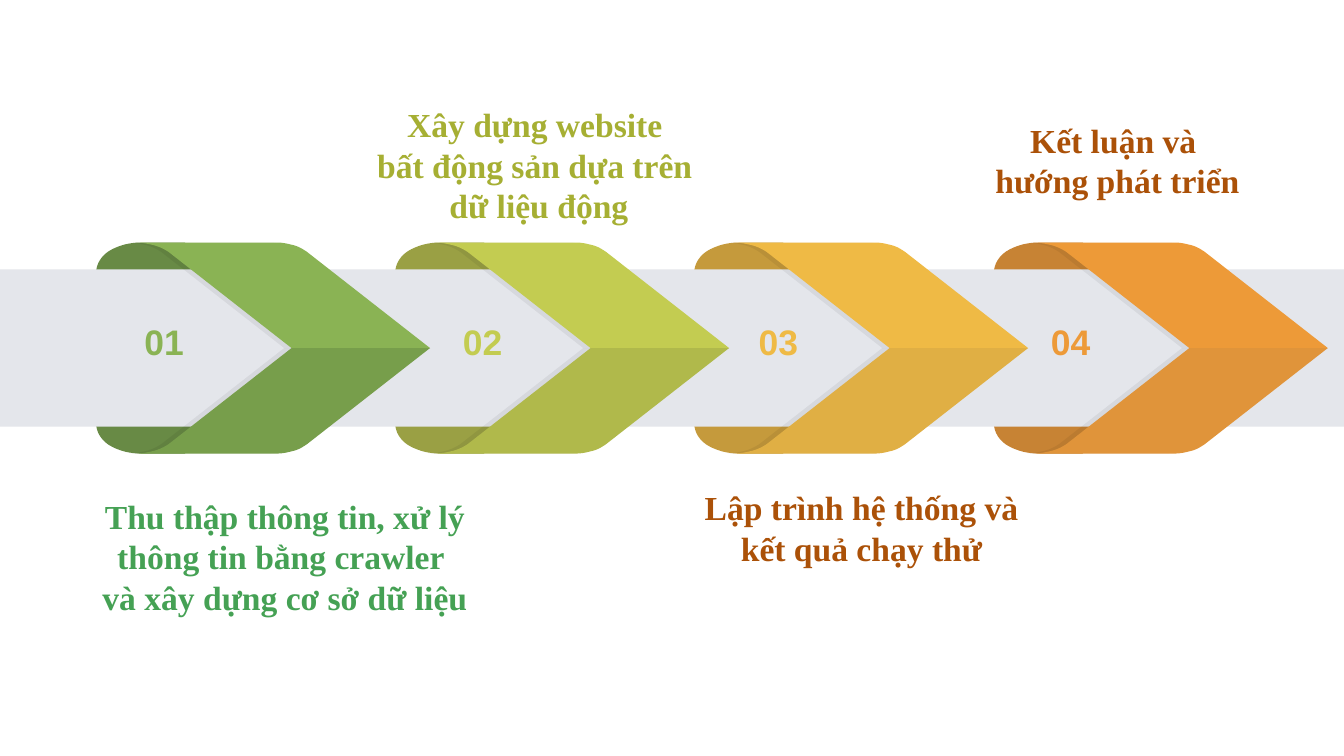
from lxml.etree import SubElement
from pptx import Presentation
from pptx.dml.color import RGBColor
from pptx.enum.shapes import MSO_SHAPE
from pptx.enum.text import MSO_ANCHOR, MSO_AUTO_SIZE, PP_ALIGN
from pptx.oxml.ns import qn
from pptx.util import Pt

PX = 4572
HALF = 157
TOP = 361

FOLD = [(66, 0), (50, 0, 36, 4, 24, 10), (8, 18, 0, 32, 0, 46),
        (0, 268), (0, 282, 8, 296, 24, 304), (36, 310, 50, 314, 66, 314),
        (132, 314), (340, HALF), (132, 0)]
FACE = [(0, 0), (8, 0, 18, 2, 26, 4), (34, 6, 42, 10, 48, 14),
        (231, HALF), (437, HALF), (254, 14),
        (248, 10, 242, 6, 234, 4), (226, 2, 218, 0, 210, 0)]

STEPS = [
    ("01", "688A45", "8AB354", "779E4B", (203, 116)),
    ("02", "9AA044", "C3CC51", "B0B94B", (677, 120)),
    ("03", "C59A3C", "EFBA45", "E0AF44", (1117, 98)),
    ("04", "C78334", "ED9A38", "E0943A", (1552, 110)),
]
NOTES = [
    ((131, 726, 586, 204), "45A154",
     "Thu thập thông tin, xử lý thông tin bằng crawler \nvà xây dựng cơ sở dữ liệu"),
    ((510, 143, 584, 204), "A6AF33",
     "Xây dựng website \nbất động sản dựa trên \ndữ liệu động"),
    ((1033, 713, 498, 144), "AB5108",
     "Lập trình hệ thống và kết quả chạy thử"),
    ((1429, 166, 468, 144), "AB5108",
     "Kết luận và \nhướng phát triển"),
]


def paint(shape, color, alpha=None):
    """Give a shape a flat fill, with alpha in percent."""
    shape.shadow.inherit = False
    shape.fill.solid()
    shape.fill.fore_color.rgb = RGBColor.from_string(color)
    shape.line.fill.background()
    if alpha:
        tone = shape.element.spPr.find(qn("a:solidFill"))[0]
        SubElement(tone, qn("a:alpha")).set("val", str(alpha * 1000))


def trace(route, steps=8):
    """Turn lines and cubic curves into a list of points."""
    points = []
    for part in route:
        if len(part) == 2:
            points.append(part)
            continue
        (ax, ay), (bx, by, cx, cy, dx, dy) = points[-1], part
        for i in range(1, steps + 1):
            t = i / steps
            u = 1 - t
            k = u ** 3, 3 * u * u * t, 3 * u * t * t, t ** 3
            points.append((k[0] * ax + k[1] * bx + k[2] * cx + k[3] * dx,
                           k[0] * ay + k[1] * by + k[2] * cy + k[3] * dy))
    return points


def outline(slide, x, y, points, color, alpha=None):
    """Draw a closed outline whose points are relative to x, y."""
    spots = [(round((x + px) * PX), round((y + py) * PX)) for px, py in points]
    pen = slide.shapes.build_freeform(*spots[0], scale=1.0)
    pen.add_line_segments(spots[1:], close=True)
    paint(pen.convert_to_shape(), color, alpha)


def arrow(slide, x, y, light, dark):
    """Draw the two halves of an arrow, with its shade to the left."""
    upper = trace(FACE)
    lower = [(px, 2 * HALF - py) for px, py in upper]
    for left, tones, alpha in ((x - 11, ("000000",) * 2, 6),
                               (x, (light, dark), None)):
        for half, tone in zip((upper, lower), tones):
            outline(slide, left, y, half, tone, alpha)


def band(slide, x, y, w, h):
    """Draw the grey band behind the arrows."""
    bar = slide.shapes.add_shape(
        MSO_SHAPE.RECTANGLE, x * PX, y * PX, w * PX, h * PX)
    paint(bar, "E4E6EB")


def label(slide, box, text, color, font, size, align):
    """Place a bold text in a box."""
    frame = slide.shapes.add_textbox(*(v * PX for v in box)).text_frame
    frame.word_wrap = True
    frame.auto_size = MSO_AUTO_SIZE.SHAPE_TO_FIT_TEXT
    frame.vertical_anchor = MSO_ANCHOR.MIDDLE
    frame.margin_left = frame.margin_right = 12 * PX
    frame.margin_top = frame.margin_bottom = 12 * PX
    frame.text = text
    for para in frame.paragraphs:
        para.alignment = align
        for run in para.runs:
            run.font.name = font
            run.font.size = Pt(size)
            run.font.bold = True
            run.font.color.rgb = RGBColor.from_string(color)


def main():
    """Build the slide and save it."""
    deck = Presentation()
    deck.slide_width, deck.slide_height = 2000 * PX, 1125 * PX
    slide = deck.slides.add_slide(deck.slide_layouts[6])
    places = [(1336 * i // 3, step) for i, step in enumerate(STEPS)][::-1]
    for x, step in places:
        outline(slide, 143 + x, TOP, trace(FOLD), step[1])
    band(slide, -24, 401, 2048, 234)
    for x, step in places:
        arrow(slide, 203 + x, TOP, step[2], step[3])
    for num, _, light, _, (x, w) in STEPS:
        label(slide, (x, 465, w, 86), num, light, "Arial", 19, PP_ALIGN.LEFT)
    for box, color, text in NOTES:
        label(slide, box, text, color, "Times New Roman", 18, PP_ALIGN.CENTER)
    deck.save("out.pptx")


if __name__ == "__main__":
    main()
